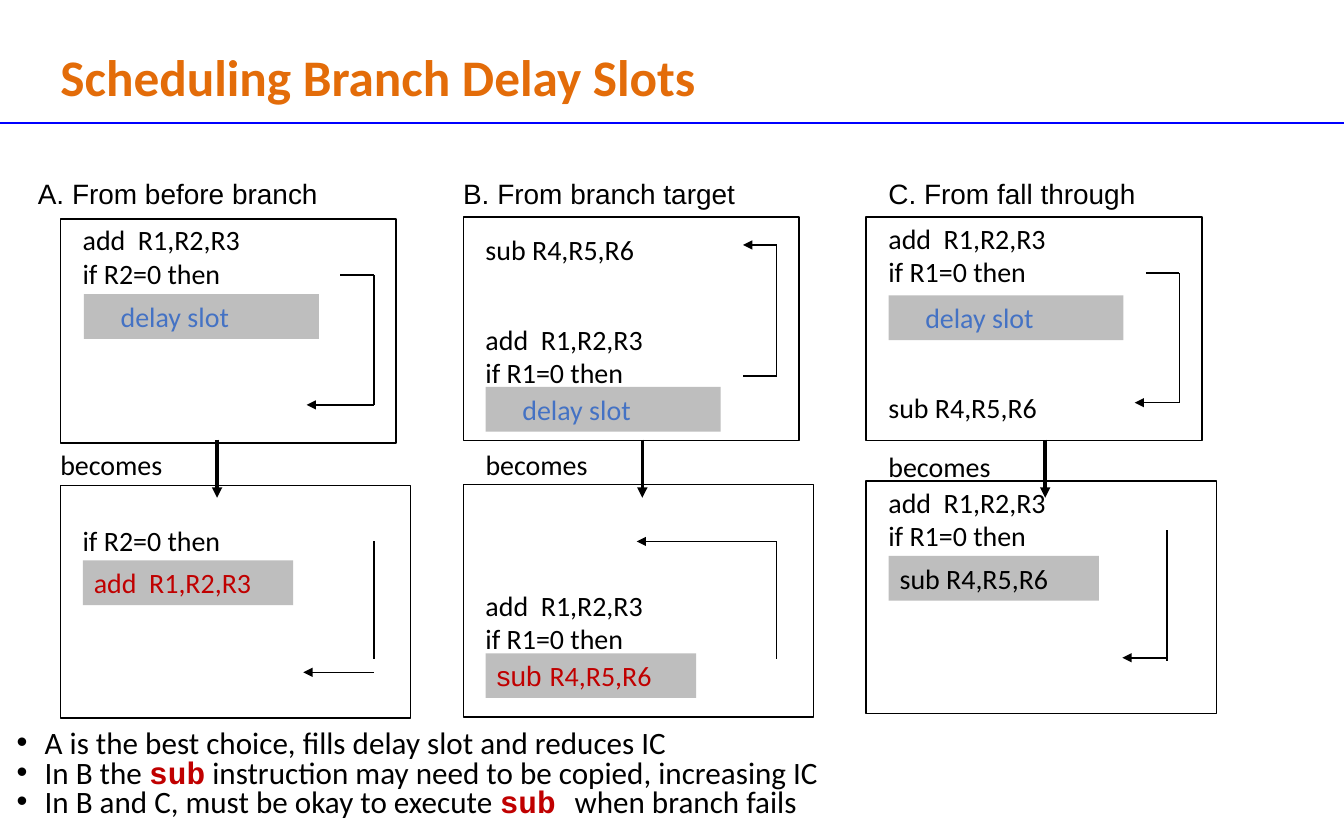
from dataclasses import dataclass
from itertools import pairwise

from lxml.etree import SubElement
from pptx import Presentation
from pptx.dml.color import RGBColor
from pptx.enum.shapes import MSO_CONNECTOR, MSO_SHAPE
from pptx.enum.text import MSO_ANCHOR, MSO_AUTO_SIZE, PP_ALIGN
from pptx.oxml.ns import qn
from pptx.util import Inches, Pt


@dataclass(frozen=True)
class Theme:
    body_font: str = "Calibri"
    heading_font: str = "Arial"
    code_font: str = "Courier New"
    title_size: int = 33
    diagram_size: int = 18
    bullet_size: int = 20
    thin: float = 0.75
    normal: float = 1
    thick: float = 2.25
    title: str = "E36C09"
    rule: str = "0000FF"
    ink: str = "000000"
    slot: str = "BEBEBE"
    placeholder: str = "4472C4"
    moved: str = "C00000"


@dataclass(frozen=True)
class Cell:
    column: int
    row: str
    shift: float = 0

    def point(self, x, y):
        left = FIRST_COLUMN + self.column * COLUMN_PITCH + x
        return Inches(left), Inches(ROWS[self.row] + self.shift + y)

    def box(self, x, y, width, height):
        return *self.point(x, y), Inches(width), Inches(height)


THEME = Theme()
WIDTH, HEIGHT = 12.01, 7.5
FIRST_COLUMN, COLUMN_PITCH = 0.54, 3.6
ROWS = {"heading": 1.53, "before": 1.94, "becomes": 3.95, "after": 4.33}
FRAMES = {"before": (3, 2), "after": (3.13, 2.08)}
SLOT_WIDTHS = {"before": 2.1, "after": 1.88}
HEADINGS = ["A. From before branch", "B. From branch target", "C. From fall through"]
ADD, SUB = "add  R1,R2,R3", "sub R4,R5,R6"
IF_R1, IF_R2 = "if R1=0 then", "if R2=0 then"
DELAY_SLOT = [("delay slot", THEME.body_font, THEME.placeholder)]
MOVED_ADD = [(ADD, THEME.body_font, THEME.moved)]
MOVED_SUB = [("sub ", THEME.heading_font, THEME.moved),
             ("R4,R5,R6", THEME.body_font, THEME.moved)]
COPIED_SUB = [(SUB, THEME.body_font, THEME.ink)]
SUB_WORD = ("sub", THEME.code_font, THEME.moved, True)

PANELS = [
    (Cell(0, "before", 0.02), [(-0.02, [ADD, IF_R2])], (0.21, 0.67), DELAY_SLOT,
     [[(2.5, 0.5), (2.8, 0.5), (2.8, 1.66), (2.2, 1.66)]]),
    (Cell(1, "before"), [(0.09, [SUB]), (0.89, [ADD, IF_R1])], (0.2, 1.52), DELAY_SLOT,
     [[(2.5, 1.42), (2.8, 1.42), (2.8, 0.25), (2.5, 0.25)]]),
    (Cell(2, "before"), [(-0.01, [ADD, IF_R1]), (1.5, [SUB])], (0.2, 0.7), DELAY_SLOT,
     [[(2.5, 0.5), (2.8, 0.5), (2.8, 1.66), (2.4, 1.66)]]),
    (Cell(0, "after", 0.01), [(0.29, [IF_R2])], (0.2, 0.67), MOVED_ADD,
     [[(2.8, 0.5), (2.8, 1.55)], [(2.8, 1.67), (2.17, 1.67)]]),
    (Cell(1, "after"), [(0.88, [ADD, IF_R1])], (0.2, 1.51), MOVED_SUB,
     [[(2.8, 1.56), (2.8, 0.51), (1.55, 0.51)]]),
    (Cell(2, "after", -0.03), [(-0.01, [ADD, IF_R1])], (0.2, 0.67), COPIED_SUB,
     [[(2.69, 0.44), (2.69, 1.61)], [(2.69, 1.58), (2.29, 1.58)]]),
]
BECOMES = [(-0.1, 0, 1.4), (0.1, 0, 1.6), (0.1, 0.02, 1.6)]
BULLETS = [
    [("A is the best choice, fills delay slot and reduces IC",)],
    [("In B the ",), SUB_WORD, (" instruction may need to be copied, increasing IC",)],
    [("In B and C, must be okay to execute ",),
     ("sub ", *SUB_WORD[1:]), ("when branch fails",)],
]


def color(value):
    return RGBColor.from_string(value)


def add_run(paragraph, size, text, font=THEME.body_font, ink=THEME.ink, bold=False):
    run = paragraph.add_run()
    run.text = text
    run.font.name = font
    run.font.size = Pt(size)
    run.font.bold = bold
    run.font.color.rgb = color(ink)


def fill_text(shape, paragraphs, size=THEME.diagram_size):
    frame = shape.text_frame
    frame.word_wrap = True
    frame.auto_size = MSO_AUTO_SIZE.NONE
    for index, runs in enumerate(paragraphs):
        paragraph = frame.add_paragraph() if index else frame.paragraphs[0]
        paragraph.alignment = PP_ALIGN.LEFT
        for run in runs:
            add_run(paragraph, size, *run)
    return frame


def add_text(slide, box, paragraphs, size=THEME.diagram_size):
    return fill_text(slide.shapes.add_textbox(*box), paragraphs, size)


def add_rectangle(slide, box):
    shape = slide.shapes.add_shape(MSO_SHAPE.RECTANGLE, *box)
    shape.shadow.inherit = False
    return shape


def add_frame(slide, box):
    shape = add_rectangle(slide, box)
    shape.fill.background()
    shape.line.color.rgb = color(THEME.ink)
    shape.line.width = Pt(THEME.normal)


def add_slot(slide, box, runs):
    shape = add_rectangle(slide, box)
    shape.fill.solid()
    shape.fill.fore_color.rgb = color(THEME.slot)
    shape.line.fill.background()
    frame = fill_text(shape, [runs])
    frame.vertical_anchor = MSO_ANCHOR.MIDDLE
    if runs is DELAY_SLOT:
        frame.paragraphs[0]._p.get_or_add_pPr().set("marL", str(Inches(0.23)))


def add_line(slide, start, end, width=THEME.normal, ink=THEME.ink, arrow=False):
    line = slide.shapes.add_connector(MSO_CONNECTOR.STRAIGHT, *start, *end)
    line.line.color.rgb = color(ink)
    line.line.width = Pt(width)
    if arrow:
        SubElement(line.line._get_or_add_ln(), qn("a:tailEnd"), type="triangle")
    SubElement(line._element.spPr, qn("a:effectLst"))


def add_routes(slide, cell, routes):
    segments = [pair for route in routes for pair in pairwise(route)]
    for segment in segments:
        start, end = (cell.point(*point) for point in segment)
        add_line(slide, start, end, arrow=segment is segments[-1])


def add_panel(slide, cell, code_blocks, slot_place, slot_runs, routes):
    add_frame(slide, cell.box(0, 0, *FRAMES[cell.row]))
    for top, lines in code_blocks:
        add_text(slide, cell.box(0.1, top, 2.7, 0.1 + 0.3 * len(lines)),
                 [[(line,)] for line in lines])
    add_slot(slide, cell.box(*slot_place, SLOT_WIDTHS[cell.row], 0.4), slot_runs)
    add_routes(slide, cell, routes)


def add_heading(slide, column, text):
    cell = Cell(column, "heading")
    add_text(slide, cell.box(0.2 * column - 0.3, 0, 3.4, 0.4),
             [[(text, THEME.heading_font)]])


def add_becomes(slide, column, left, top, arrow_left):
    cell = Cell(column, "becomes")
    add_line(slide, cell.point(arrow_left, -0.02), cell.point(arrow_left, 0.5),
             THEME.thick, arrow=True)
    add_text(slide, cell.box(left, top, 1.25, 0.52), [[("becomes",)]])


def add_title(slide):
    title = slide.shapes.title
    title.left, title.top = Inches(0.44), Inches(0.43)
    title.width, title.height = Inches(8.45), Inches(0.56)
    runs = [("Scheduling Branch Delay Slots", THEME.body_font, THEME.title, True)]
    frame = fill_text(title, [runs], THEME.title_size)
    frame.vertical_anchor = MSO_ANCHOR.MIDDLE
    frame.paragraphs[0].line_spacing = 0.9
    add_line(slide, (0, Inches(1.1)), (Inches(WIDTH), Inches(1.1)), THEME.thin, THEME.rule)


def add_bullets(slide):
    box = [Inches(length) for length in (0.05, 6.48, 10.71, 0.97)]
    frame = add_text(slide, box, BULLETS, THEME.bullet_size)
    for paragraph in frame.paragraphs:
        paragraph.line_spacing = 0.8
        properties = paragraph._p.get_or_add_pPr()
        properties.set("marL", str(Inches(0.25)))
        properties.set("indent", str(-Inches(0.25)))
        bullet_color = SubElement(properties, qn("a:buClr"))
        SubElement(bullet_color, qn("a:srgbClr"), val=THEME.ink)
        SubElement(properties, qn("a:buFont"), typeface=THEME.heading_font)
        SubElement(properties, qn("a:buChar"), char="•")


def main():
    presentation = Presentation()
    presentation.slide_width, presentation.slide_height = Inches(WIDTH), Inches(HEIGHT)
    slide = presentation.slides.add_slide(presentation.slide_layouts[5])
    add_title(slide)
    for column, heading in enumerate(HEADINGS):
        add_heading(slide, column, heading)
    for panel in PANELS:
        add_panel(slide, *panel)
    for column, placement in enumerate(BECOMES):
        add_becomes(slide, column, *placement)
    add_bullets(slide)
    presentation.save("out.pptx")


if __name__ == "__main__":
    main()
